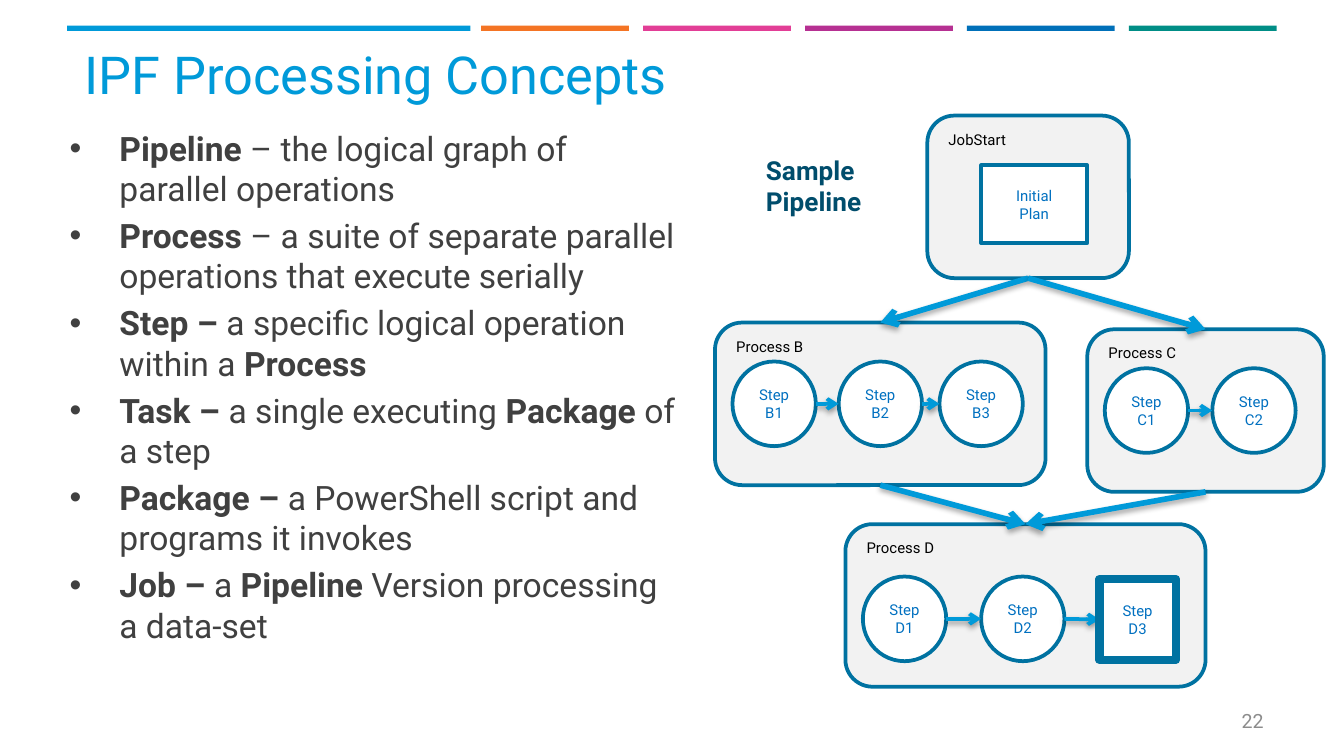
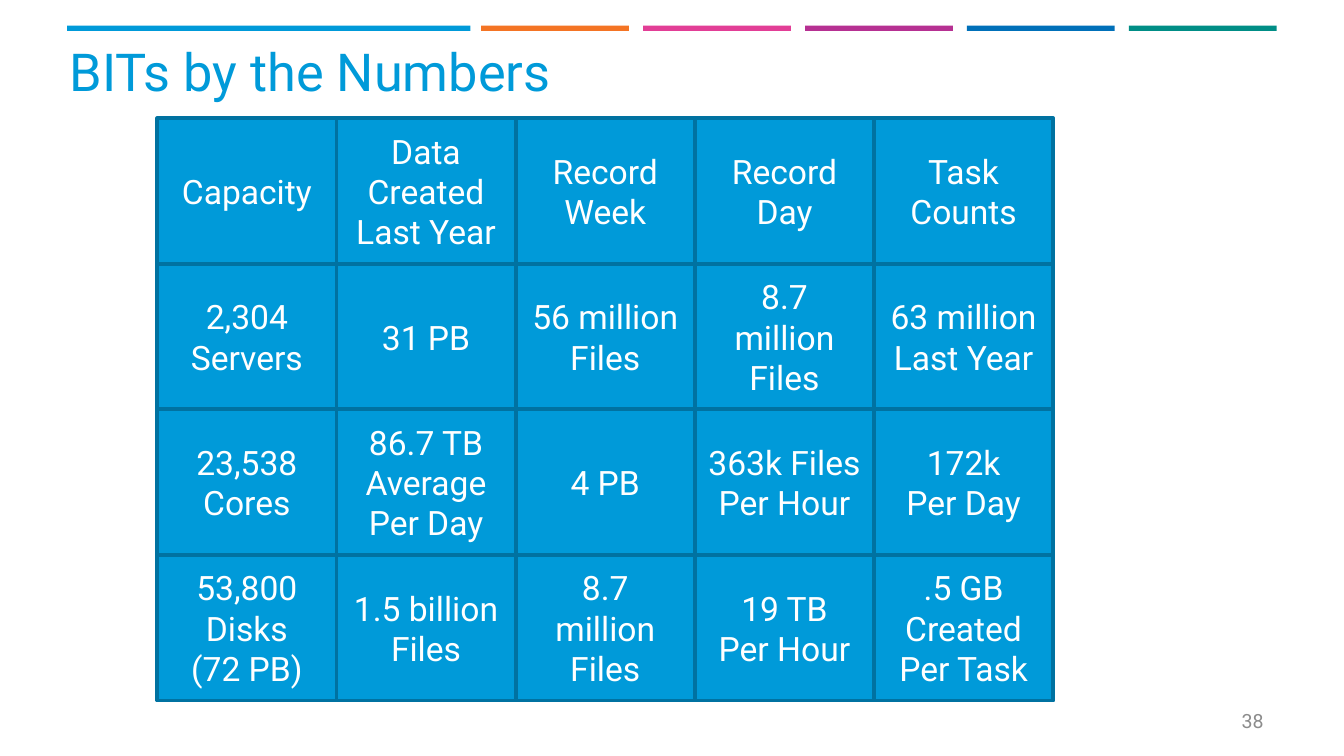
"""Builds two slides on a processing pipeline and its numbers."""
from lxml.etree import SubElement as Sub
from pptx import Presentation
from pptx.dml.color import RGBColor as Rgb
from pptx.enum.shapes import MSO_CONNECTOR as Link, MSO_SHAPE as Kind
from pptx.enum.text import MSO_ANCHOR as Anchor, PP_ALIGN as Align
from pptx.oxml.ns import qn
from pptx.util import Inches, Pt

HUES = {
    "sky": "009AD9", "orange": "F47424", "pink": "E23E96", "plum": "B63092",
    "blue": "0070B9", "teal": "008E86", "edge": "0072A1", "navy": "004D6C",
    "step": "0070C0", "panel": "F2F2F2", "body": "404040", "grey": "8C8C8C",
    "white": "FFFFFF", "black": "000000",
}
FONT = "Roboto"
TOP, LEFT, BASE = 0, 1, 2
DOT_W, DOT_H = 0.62, 0.63


def hue(name):
    """Return the named colour."""
    return Rgb.from_string(HUES[name])


class Deck:
    """Holds the style and the current slide."""

    def __init__(self):
        """Open an empty wide deck."""
        self.prs = Presentation()
        self.prs.slide_width = Inches(10)
        self.prs.slide_height = Inches(10 * 9 / 16)

    def page(self, title, left, top, number):
        """Add a slide with its bands, title and number."""
        self.slide = self.prs.slides.add_slide(self.prs.slide_layouts[6])
        self.box(Kind.RECTANGLE, 0.5, 0.19, 3, 0.04, "sky")
        for i, tint in enumerate(("orange", "pink", "plum", "blue", "teal")):
            self.box(Kind.RECTANGLE, 3.58 + i * 4.82 / 4, 0.19, 1.1, 0.04, tint)
        self.text(title, left, top, 9.08, 0.5, 28, "sky", anchor=Anchor.BOTTOM)
        self.text(number, 7.17, 5.21, 2.33, 0.3, 10.5, "grey",
                  align=Align.RIGHT, anchor=Anchor.MIDDLE)

    def style(self, para, size, tint, align=Align.LEFT, bold=False):
        """Format a paragraph and its runs."""
        para.alignment = align
        for run in para.runs:
            run.font.name, run.font.size = FONT, Pt(size)
            run.font.bold = bold
            run.font.color.rgb = hue(tint)

    def fill(self, frame, words, size, tint, align, anchor, bold=False):
        """Write words in a frame and format them."""
        frame.text = words
        frame.vertical_anchor = anchor
        for para in frame.paragraphs:
            self.style(para, size, tint, align, bold)

    def text(self, words, x, y, w, h, size, tint, align=Align.LEFT,
             anchor=Anchor.TOP, bold=False, wrap=True):
        """Add a text box."""
        area = [Inches(v) for v in (x, y, w, h)]
        frame = self.slide.shapes.add_textbox(*area).text_frame
        frame.word_wrap = wrap
        self.fill(frame, words, size, tint, align, anchor, bold)

    def box(self, kind, x, y, w, h, tint, words="", size=8, ink="step",
            edge=0, align=Align.CENTER, anchor=Anchor.MIDDLE):
        """Add a filled shape, with an edge if it has a width."""
        area = [Inches(v) for v in (x, y, w, h)]
        shape = self.slide.shapes.add_shape(kind, *area)
        shape.shadow.inherit = False
        shape.fill.solid()
        shape.fill.fore_color.rgb = hue(tint)
        if edge:
            shape.line.color.rgb = hue("edge")
            shape.line.width = Pt(edge)
        else:
            shape.line.fill.background()
        if words:
            self.fill(shape.text_frame, words, size, ink, align, anchor)
        return shape

    def panel(self, words, x, y, w):
        """Add a rounded process panel."""
        return self.box(Kind.ROUNDED_RECTANGLE, x, y, w, 1.21, "panel", words,
                        ink="black", edge=2, align=Align.LEFT,
                        anchor=Anchor.TOP)

    def steps(self, name, lefts, top):
        """Add a row of step circles joined by arrows."""
        mid = top + DOT_H / 2
        for i, x in enumerate(lefts):
            dot = self.box(Kind.OVAL, x, top, DOT_W, DOT_H, "white",
                           f"Step {name}{i + 1}", edge=2)
            dot.text_frame.margin_left = Inches(0.05)
            dot.text_frame.margin_right = Inches(0.05)
        for a, b in zip(lefts, lefts[1:]):
            self.arrow((a + DOT_W, mid), (b, mid))

    def arrow(self, start=(0, 0), end=(0, 0), width=2, drop=1.6, alpha=38):
        """Add an arrow with a soft shadow."""
        ends = [Inches(v) for v in (*start, *end)]
        line = self.slide.shapes.add_connector(Link.STRAIGHT, *ends)
        line.line.color.rgb = hue("sky")
        line.line.width = Pt(width)
        props = line.element.spPr
        Sub(props.find(qn("a:ln")), qn("a:tailEnd"), type="arrow")
        shade = Sub(Sub(props, qn("a:effectLst")), qn("a:outerShdw"),
                    blurRad=str(Pt(3.1)), dist=str(Pt(drop)), dir="5400000",
                    rotWithShape="0")
        tone = Sub(shade, qn("a:srgbClr"), val=HUES["black"])
        Sub(tone, qn("a:alpha"), val=str(alpha * 1000))
        return line

    def flow(self, above, below):
        """Join the base of one panel to the top of the next."""
        line = self.arrow(width=3, drop=1.8, alpha=35)
        line.begin_connect(above, BASE)
        line.end_connect(below, TOP)

    def bullets(self, items, x, y, w, h):
        """Add bullets whose parts, split at bars, start bold and alternate."""
        area = [Inches(v) for v in (x, y, w, h)]
        frame = self.slide.shapes.add_textbox(*area).text_frame
        frame.word_wrap = True
        for i, item in enumerate(items):
            para = frame.add_paragraph() if i else frame.paragraphs[0]
            props = para._p.get_or_add_pPr()
            props.set("marL", str(Inches(0.37)))
            props.set("indent", str(-Inches(0.37)))
            Sub(props, qn("a:buFont"), typeface="Arial")
            Sub(props, qn("a:buChar"), char="•")
            if i:
                para.space_before = Pt(3.6)
            for part in item.split("|"):
                para.add_run().text = part
            self.style(para, 18, "body")
            for run in para.runs[::2]:
                run.font.bold = True


def concepts(deck):
    """Build the slide of terms and the sample pipeline."""
    deck.page("IPF Processing Concepts", 0.53, 0.33, "22")
    deck.bullets((
        "Pipeline| – the logical graph of parallel operations",
        "Process| – a suite of separate parallel operations that execute serially",
        "Step – |a specific logical operation within a |Process",
        "Task – |a single executing |Package| of a step",
        "Package – |a PowerShell script and programs it invokes",
        "Job – |a |Pipeline| Version processing a data-set",
    ), 0.42, 0.9, 4.75, 5.67)
    start = deck.panel("JobStart", 6.9, 0.86, 1.5)
    left = deck.panel("Process B", 5.32, 2.4, 2.46)
    deck.steps("B", (5.45, 6.24, 6.99), 2.69)
    right = deck.panel("Process C", 8.09, 2.45, 1.76)
    deck.steps("C", (8.22, 9.02), 2.74)
    last = deck.panel("Process D", 6.29, 3.9, 2.68)
    deck.steps("D", (6.42, 7.3), 4.29)
    mid = 4.29 + DOT_H / 2
    hop = deck.arrow((7.3 + DOT_W, mid), (8.18, mid))
    for side in (left, right):
        deck.flow(start, side)
    for side in (left, right):
        deck.flow(side, last)
    deck.text("Sample\nPipeline", 5.6, 1.1, 0.95, 0.57, 14, "navy",
              bold=True, wrap=False)
    deck.box(Kind.RECTANGLE, 7.3, 1.23, 0.79, 0.58, "white", "Initial\nPlan",
             edge=2)
    final = deck.box(Kind.RECTANGLE, 8.18, 4.31, 0.57, 0.6, "white",
                     "Step\nD3", edge=4.5)
    hop.end_connect(final, LEFT)


def numbers(deck):
    """Build the slide of figures as a grid of tiles."""
    deck.page("BITs by the Numbers", 0.42, 0.31, "38")
    cols = (
        ("Capacity", "2,304\nServers", "23,538\nCores",
         "53,800\nDisks\v(72 PB)"),
        ("Data\vCreated\vLast Year", "31 PB", "86.7 TB\nAverage\nPer Day",
         "1.5 billion\vFiles"),
        ("Record\nWeek", "56 million\nFiles", "4 PB", "8.7 million\vFiles"),
        ("Record\nDay", "8.7 million\nFiles", "363k Files\nPer Hour",
         "19 TB\nPer Hour"),
        ("Task\nCounts", "63 million\nLast Year", "172k\nPer Day",
         ".5 GB\nCreated\nPer Task"),
    )
    wide, high = 4 / 3, 3.25 / 3
    for c, col in enumerate(cols):
        for r, words in enumerate(col):
            deck.box(Kind.RECTANGLE, 1.17 + c * wide, 0.88 + r * high, wide,
                     high, "sky", words, 18, "white", 2)


def main():
    """Build and save the deck."""
    deck = Deck()
    concepts(deck)
    numbers(deck)
    deck.prs.save("out.pptx")


if __name__ == "__main__":
    main()
